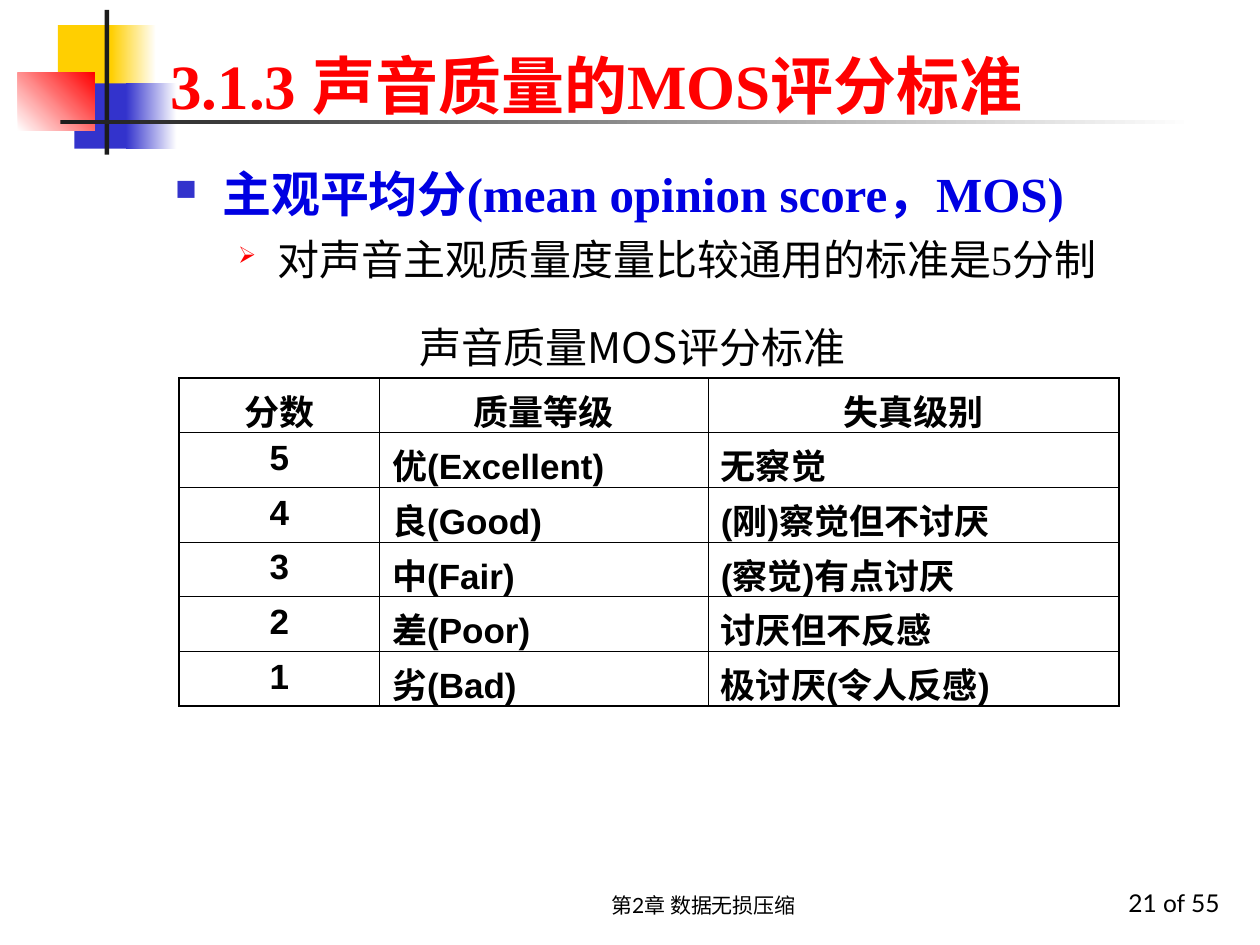
"""Build the slide on the MOS scale for sound quality."""
import pptx
import pptx.dml.color
import pptx.enum.shapes
import pptx.enum.text
import pptx.oxml
import pptx.oxml.ns
import pptx.util
from pptx.util import Cm, Pt

RGBColor = pptx.dml.color.RGBColor
PP_ALIGN = pptx.enum.text.PP_ALIGN
MSO_ANCHOR = pptx.enum.text.MSO_ANCHOR

BLACK = RGBColor(0x00, 0x00, 0x00)
WHITE = RGBColor(0xFF, 0xFF, 0xFF)
RED = RGBColor(0xFF, 0x00, 0x00)
YELLOW = RGBColor(0xFF, 0xCF, 0x01)
BLUE = RGBColor(0x33, 0x33, 0xCC)
TEXT_BLUE = RGBColor(0x00, 0x00, 0xE2)
CHARCOAL = RGBColor(0x1C, 0x1C, 0x1C)

CJK = "Noto Sans CJK SC"
NS = pptx.oxml.ns.nsdecls("a")


def add_run(p, text, size, font, color, bold=False):
    r = p.add_run()
    r.text = text
    r.font.size = Pt(size)
    r.font.bold = bold
    r.font.color.rgb = color
    r.font.name = font
    r.font._element.append(pptx.oxml.parse_xml(f'<a:ea {NS} typeface="{CJK}"/>'))


def add_text_box(s, left, top, width, height, anchor, wrap=True):
    tf = s.shapes.add_textbox(Cm(left), Cm(top), Cm(width), Cm(height)).text_frame
    tf.word_wrap = wrap
    tf.vertical_anchor = anchor
    return tf


prs = pptx.Presentation()
prs.slide_width, prs.slide_height = Cm(25.4), Cm(19.05)
s = prs.slides.add_slide(prs.slide_layouts[5])

decorations = [
    (1.17, 0.51, 1.22, 1.32, [YELLOW], 0),
    (2.24, 0.51, 0.91, 1.32, [YELLOW, WHITE], 0),
    (1.5, 1.68, 1.17, 1.32, [BLUE], 0),
    (2.54, 1.68, 1.02, 1.32, [BLUE, WHITE], 0),
    (0.36, 1.47, 1.55, 1.17, [WHITE, RED], 45),
    (2.11, 0.2, 0.09, 2.92, [CHARCOAL], 0),
    (1.22, 2.41, 22.86, 0.09, [CHARCOAL, WHITE], 0),
]
for left, top, width, height, colors, angle in decorations:
    sp = s.shapes.add_shape(pptx.enum.shapes.MSO_SHAPE.RECTANGLE,
                            Cm(left), Cm(top), Cm(width), Cm(height))
    sp.shadow.inherit = False
    sp.line.fill.background()
    if len(colors) == 1:
        sp.fill.solid()
        sp.fill.fore_color.rgb = colors[0]
    else:
        sp.fill.gradient()
        sp.fill.gradient_angle = angle
        for stop, color in zip(sp.fill.gradient_stops, colors):
            stop.color.rgb = color

title = s.shapes.title
title.element.getparent().append(title.element)
title.left, title.top, title.width, title.height = Cm(3.18), Cm(0.43), Cm(21.64), Cm(2.16)
tf = title.text_frame
tf.auto_size = pptx.enum.text.MSO_AUTO_SIZE.NONE
tf.vertical_anchor = MSO_ANCHOR.BOTTOM
p = tf.paragraphs[0]
p.alignment = PP_ALIGN.LEFT
add_run(p, "3.1.3 声音质量的MOS评分标准", 36, "Times New Roman", RED, True)

bullets = [
    ("主观平均分(mean opinion score，MOS)", 28, TEXT_BLUE, True, "■", BLUE, 60, 0.95, 0.95, 0),
    ("对声音主观质量度量比较通用的标准是5分制", 24, BLACK, False, "➢", RED, 55, 2.06, 0.79, 6),
]
tf = add_text_box(s, 3.28, 3.18, 20.22, 4.45, MSO_ANCHOR.TOP)
for i, (text, size, color, bold, mark, mark_color, percent, margin, hang, before) in enumerate(bullets):
    p = tf.add_paragraph() if i else tf.paragraphs[0]
    p.level = i
    pPr = p._p.get_or_add_pPr()
    pPr.set("marL", str(Cm(margin)))
    pPr.set("indent", str(-Cm(hang)))
    for xml in (f'<a:buClr {NS}><a:srgbClr val="{mark_color}"/></a:buClr>',
                f'<a:buSzPct {NS} val="{percent * 1000}"/>',
                f'<a:buChar {NS} char="{mark}"/>'):
        pPr.append(pptx.oxml.parse_xml(xml))
    p.space_before = Pt(before)
    add_run(p, text, size, "Times New Roman", color, bold)

rows = [
    ("分数", "质量等级", "失真级别"),
    ("5", "优(Excellent)", "无察觉"),
    ("4", "良(Good)", "(刚)察觉但不讨厌"),
    ("3", "中(Fair)", "(察觉)有点讨厌"),
    ("2", "差(Poor)", "讨厌但不反感"),
    ("1", "劣(Bad)", "极讨厌(令人反感)"),
]
table = s.shapes.add_table(len(rows), 3, Cm(3.61), Cm(7.62), Cm(18.95), Cm(6.6)).table
for column, width in zip(table.columns, (4.04, 6.63, 8.28)):
    column.width = Cm(width)
for y, row in enumerate(rows):
    table.rows[y].height = Cm(1.1)
    for x, text in enumerate(row):
        cell = table.cell(y, x)
        cell.fill.background()
        p = cell.text_frame.paragraphs[0]
        p.alignment = PP_ALIGN.CENTER if y == 0 or x == 0 else PP_ALIGN.LEFT
        add_run(p, text, 20, "Arial", BLACK, True)
        outer_edges = {"L": x == 0, "R": x == 2, "T": y == 0, "B": y == len(rows) - 1}
        for i, (side, outer) in enumerate(outer_edges.items()):
            width = Pt(1.08 if outer else 0.45)
            cell._tc.get_or_add_tcPr().insert(i, pptx.oxml.parse_xml(
                f'<a:ln{side} {NS} w="{width}"><a:solidFill><a:srgbClr val="{BLACK}"/>'
                f'</a:solidFill></a:ln{side}>'))

labels = [
    ("第2章 数据无损压缩", 12, "Lato", PP_ALIGN.CENTER, MSO_ANCHOR.BOTTOM, True, 10.16, 17.35, 8.05),
    ("声音质量MOS评分标准", 24, CJK, PP_ALIGN.CENTER, MSO_ANCHOR.TOP, False, 7.01, 6.35, 11.48),
    ("21 of 55", 14, "Lato", PP_ALIGN.RIGHT, MSO_ANCHOR.BOTTOM, True, 19.56, 17.35, 5.28),
]
for text, size, font, align, anchor, wrap, left, top, width in labels:
    p = add_text_box(s, left, top, width, 1.27, anchor, wrap).paragraphs[0]
    p.alignment = align
    add_run(p, text, size, font, BLACK)

prs.save("out.pptx")
